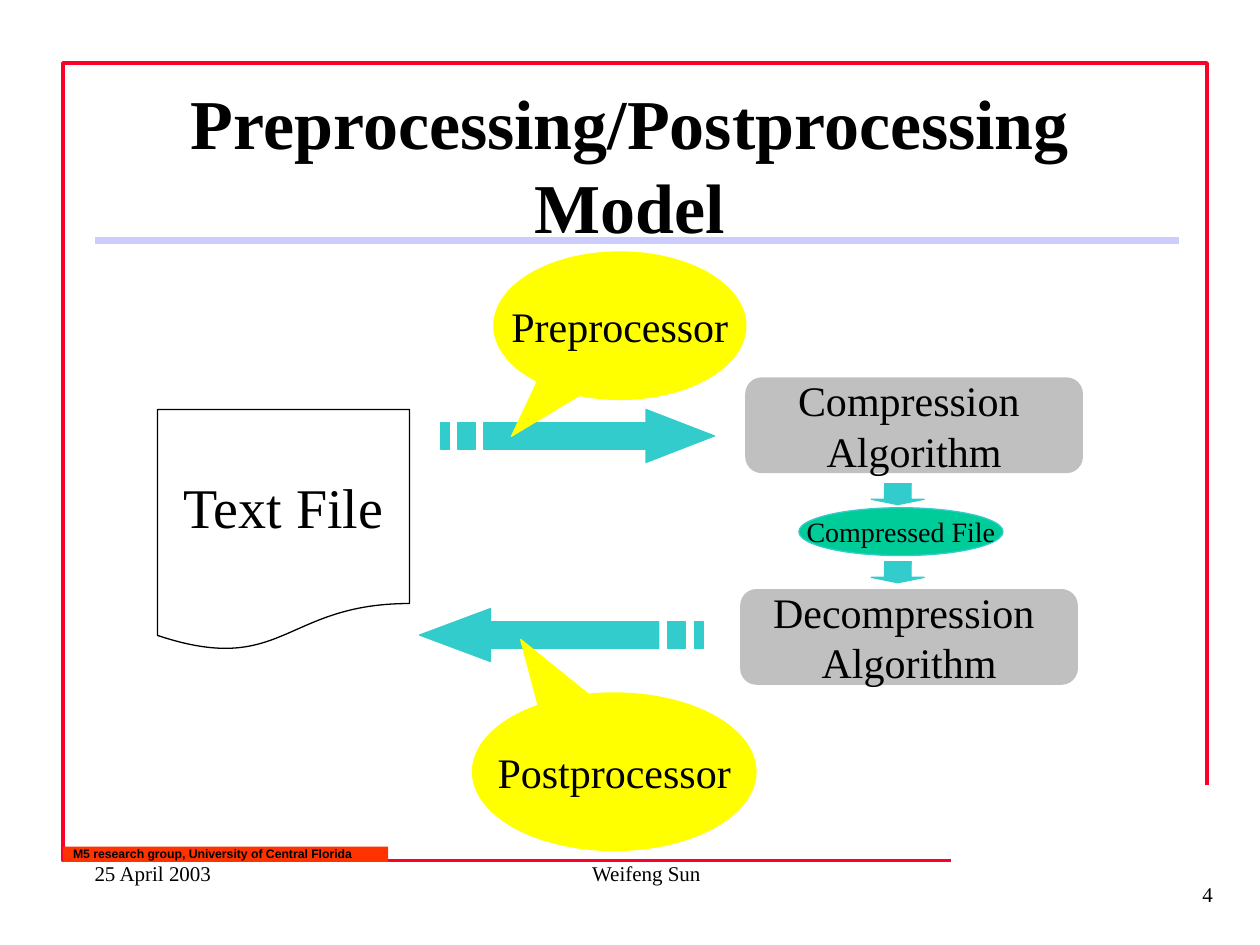
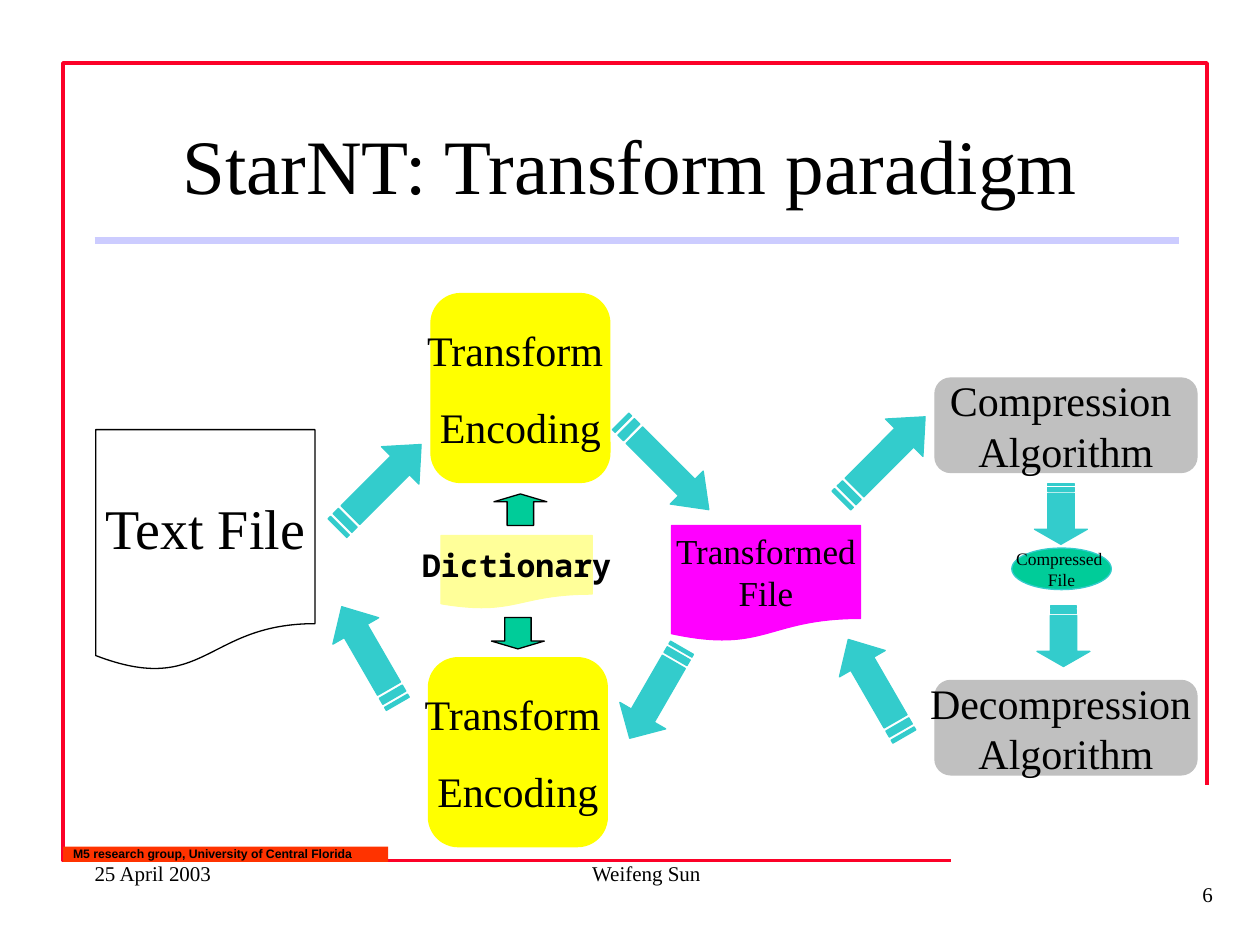
"""Build two slides on text preprocessing and the StarNT transform."""
from dataclasses import dataclass

from lxml.etree import SubElement
from pptx import Presentation
from pptx.dml.color import RGBColor
from pptx.enum.shapes import MSO_CONNECTOR as Connector, MSO_SHAPE as Shape
from pptx.enum.text import MSO_ANCHOR as Anchor, PP_ALIGN as Align
from pptx.oxml.ns import qn
from pptx.shapes.base import BaseShape
from pptx.slide import Slide
from pptx.text.text import TextFrame
from pptx.util import Inches, Pt

BLACK = RGBColor(0x00, 0x00, 0x00)
WHITE = RGBColor(0xFF, 0xFF, 0xFF)
FRAME_RED = RGBColor(0xFC, 0x01, 0x28)
BAND_RED = RGBColor(0xFF, 0x33, 0x00)
RULE_LILAC = RGBColor(0xCC, 0xCC, 0xFF)
GRAY = RGBColor(0xC0, 0xC0, 0xC0)
TEAL = RGBColor(0x33, 0xCC, 0xCC)
GREEN = RGBColor(0x00, 0xCC, 0x99)
YELLOW = RGBColor(0xFF, 0xFF, 0x00)
PALE_YELLOW = RGBColor(0xFF, 0xFF, 0x99)
MAGENTA = RGBColor(0xFF, 0x00, 0xFF)

SERIF = "Times New Roman"
SANS = "Arial"
MONO = "Noto Sans Mono"


@dataclass(frozen=True)
class Node:
    """A preset shape with an optional label; the outline defaults to the fill."""
    kind: Shape
    left: float
    top: float
    width: float
    height: float
    fill: RGBColor
    text: str = ""
    size: float = 24
    line: RGBColor | None = None
    font: str = SERIF
    bold: bool = False
    gap: float = 0
    adjust: tuple[float, ...] = ()
    turn: float = 0


@dataclass(frozen=True)
class StripedArrow:
    """An arrow with two tail stripes, turned clockwise from pointing right."""
    left: float
    top: float
    width: float
    height: float = 0.42
    turn: float = 0


def write(frame: TextFrame, text: str, *, size: float, font: str = SERIF,
          bold: bool = False, align: Align = Align.CENTER, gap: float = 0,
          anchor: Anchor = Anchor.TOP, wrap: bool = True, indent: float = 0) -> None:
    """Fill a frame with one paragraph for each line of text."""
    frame.word_wrap = wrap
    frame.vertical_anchor = anchor
    frame.margin_left = Inches(indent)
    frame.margin_right = frame.margin_top = frame.margin_bottom = 0
    for number, words in enumerate(text.split("\n")):
        para = frame.add_paragraph() if number else frame.paragraphs[0]
        para.text = words
        para.alignment = align
        if number and gap:
            para.space_before = Pt(gap)
        for span in para.runs:
            span.font.size = Pt(size)
            span.font.name = font
            span.font.bold = bold
            span.font.color.rgb = BLACK


def paint(shape: BaseShape, fill: RGBColor | None, line: RGBColor | None,
          weight: float = 0.75) -> None:
    """Set fill and outline, and drop the shadow."""
    shape.shadow.inherit = False
    if fill is None:
        shape.fill.background()
    else:
        shape.fill.solid()
        shape.fill.fore_color.rgb = fill
    if line is None:
        shape.line.fill.background()
    else:
        shape.line.color.rgb = line
        shape.line.width = Pt(weight)


def add_label(page: Slide, text: str, left: float, top: float, width: float,
              height: float, **style) -> None:
    """Add a plain text box."""
    box = page.shapes.add_textbox(Inches(left), Inches(top), Inches(width), Inches(height))
    write(box.text_frame, text, **style)


def add_outline(page: Slide, contours: list[list[tuple[float, float]]],
                close: bool = True) -> BaseShape:
    """Add a freeform made of the given contours, in inches."""
    pens = [[(Inches(x), Inches(y)) for x, y in contour] for contour in contours]
    builder = page.shapes.build_freeform(*pens[0][0], scale=1.0)
    for number, points in enumerate(pens):
        if number:
            builder.move_to(*points[0])
        builder.add_line_segments(points[1:], close=close)
    return builder.convert_to_shape()


def draw_node(page: Slide, node: Node) -> None:
    """Draw a preset shape and its label."""
    shape = page.shapes.add_shape(node.kind, Inches(node.left), Inches(node.top),
                                  Inches(node.width), Inches(node.height))
    for number, value in enumerate(node.adjust):
        shape.adjustments[number] = value
    shape.rotation = node.turn
    paint(shape, node.fill, node.line or node.fill)
    if node.text:
        write(shape.text_frame, node.text, size=node.size, font=node.font, bold=node.bold,
              gap=node.gap, anchor=Anchor.MIDDLE, wrap=False)


def draw_arrow(page: Slide, arrow: StripedArrow) -> None:
    """Draw the head and shaft, then stripes at fixed shares of the length."""
    def at(across: float, down: float) -> tuple[float, float]:
        return arrow.left + across * arrow.width, arrow.top + down * arrow.height

    head = [at(3 / 4, 0), at(3 / 4, 1 / 4), at(5 / 32, 1 / 4), at(5 / 32, 3 / 4),
            at(3 / 4, 3 / 4), at(3 / 4, 1), at(1, 1 / 2)]
    stripes = [[at(start, 1 / 4), at(start, 3 / 4), at(end, 3 / 4), at(end, 1 / 4)]
               for start, end in ((1 / 16, 1 / 8), (0, 1 / 32))]
    shape = add_outline(page, [head, *stripes])
    shape.rotation = arrow.turn
    paint(shape, TEAL, TEAL)


def algorithm(name: str, left: float, top: float, width: float) -> Node:
    """Return a gray algorithm box."""
    return Node(Shape.FLOWCHART_ALTERNATE_PROCESS, left, top, width, 0.75, GRAY,
                f"{name} \vAlgorithm")


def text_file(left: float, top: float, width: float) -> Node:
    """Return the white text file."""
    return Node(Shape.FLOWCHART_DOCUMENT, left, top, width, 1.92, WHITE, "Text File",
                size=32, line=BLACK)


def transform(left: float, top: float) -> Node:
    """Return a yellow transform box."""
    return Node(Shape.FLOWCHART_ALTERNATE_PROCESS, left, top, 1.42, 1.5, YELLOW,
                "Transform \nEncoding", gap=15)


def dictionary_arrow(left: float, top: float, turn: float) -> Node:
    """Return a small green arrow beside the dictionary."""
    return Node(Shape.UP_ARROW, left, top, 0.42, 0.25, GREEN, line=BLACK,
                adjust=(0.5, 0.25), turn=turn)


def add_page(deck: Presentation, title: str, number: int,
             items: list[Node | StripedArrow], **title_style) -> None:
    """Add a slide with the shared frame, title and footer, then its diagram."""
    page = deck.slides.add_slide(deck.slide_layouts[6])
    add_label(page, title, 0.75, 0.67, 8.5, 1.25, anchor=Anchor.MIDDLE, **title_style)
    frame = add_outline(page, [[(9.58, 6.23), (9.58, 0.5), (0.5, 0.5), (0.5, 6.83),
                                (7.55, 6.83)]], close=False)
    paint(frame, None, FRAME_RED, 2)
    band = page.shapes.add_shape(Shape.RECTANGLE, Inches(0.5), Inches(6.72),
                                 Inches(2.58), Inches(0.12))
    paint(band, BAND_RED, None)
    write(band.text_frame, "M5 research group, University of Central Florida", size=7,
          font=SANS, bold=True, align=Align.LEFT, indent=0.08)
    add_label(page, "Weifeng Sun", 3.67, 6.83, 2.92, 0.2, size=12)
    add_label(page, str(number), 9.42, 7, 0.33, 0.2, size=12)
    add_label(page, "25 April 2003", 0.75, 6.83, 1.42, 0.2, size=12, align=Align.LEFT)
    rule = page.shapes.add_connector(Connector.STRAIGHT, Inches(0.75), Inches(1.91),
                                     Inches(9.36), Inches(1.91))
    rule.line.color.rgb = RULE_LILAC
    rule.line.width = Pt(4)
    SubElement(rule.line._get_or_add_ln().getparent(), qn("a:effectLst"))
    for item in items:
        if isinstance(item, Node):
            draw_node(page, item)
        else:
            draw_arrow(page, item)


def main() -> None:
    """Build and save the deck."""
    deck = Presentation()
    deck.slide_width, deck.slide_height = Inches(10), Inches(7.5)
    add_page(deck, "Preprocessing/Postprocessing Model", 4, [
        algorithm("Compression", 5.92, 3, 2.67),
        text_file(1.25, 3.25, 2),
        StripedArrow(3.5, 3.25, 2.17),
        algorithm("Decompression", 5.88, 4.68, 2.67),
        StripedArrow(3.33, 4.83, 2.25, turn=180),
        StripedArrow(7.04, 4.33, 0.17, turn=90),
        Node(Shape.OVAL_CALLOUT, 3.92, 2, 2, 1.17, YELLOW, "Preprocessor",
             adjust=(-0.43, 0.75)),
        Node(Shape.OVAL_CALLOUT, 3.75, 5.5, 2.25, 1.25, YELLOW, "Postprocessor",
             adjust=(-0.33, -0.84)),
        StripedArrow(7.04, 3.71, 0.17, turn=90),
        Node(Shape.OVAL, 6.34, 4.03, 1.62, 0.38, GREEN, "Compressed File", size=16, line=TEAL),
    ], size=40, bold=True)
    add_page(deck, "StarNT: Transform paradigm", 6, [
        algorithm("Compression", 7.42, 3, 2.08),
        text_file(0.76, 3.41, 1.74),
        StripedArrow(8.2, 4.84, 0.48, turn=90),
        StripedArrow(8.18, 3.87, 0.48, turn=90),
        Node(Shape.OVAL, 8.03, 4.35, 0.79, 0.33, GREEN, "Compressed \nFile", size=10, line=TEAL),
        transform(3.42, 2.33),
        StripedArrow(6.54, 3.43, 0.94, turn=315),
        algorithm("Decompression", 7.42, 5.4, 2.08),
        StripedArrow(4.78, 3.51, 0.99, height=0.37, turn=45),
        Node(Shape.FLOWCHART_DOCUMENT, 5.33, 4.17, 1.5, 0.92, MAGENTA, "Transformed\nFile",
             size=20),
        transform(3.4, 5.22),
        StripedArrow(4.79, 5.29, 0.83, turn=120),
        StripedArrow(6.51, 5.25, 0.89, turn=240),
        StripedArrow(2.54, 3.65, 0.94, turn=315),
        StripedArrow(2.49, 4.99, 0.89, turn=240),
        Node(Shape.FLOWCHART_DOCUMENT, 3.5, 4.25, 1.2, 0.58, PALE_YELLOW, "Dictionary",
             size=18, font=MONO, bold=True),
        dictionary_arrow(3.92, 3.92, 0),
        dictionary_arrow(3.9, 4.9, 180),
    ], size=44)
    deck.save("out.pptx")


if __name__ == "__main__":
    main()
